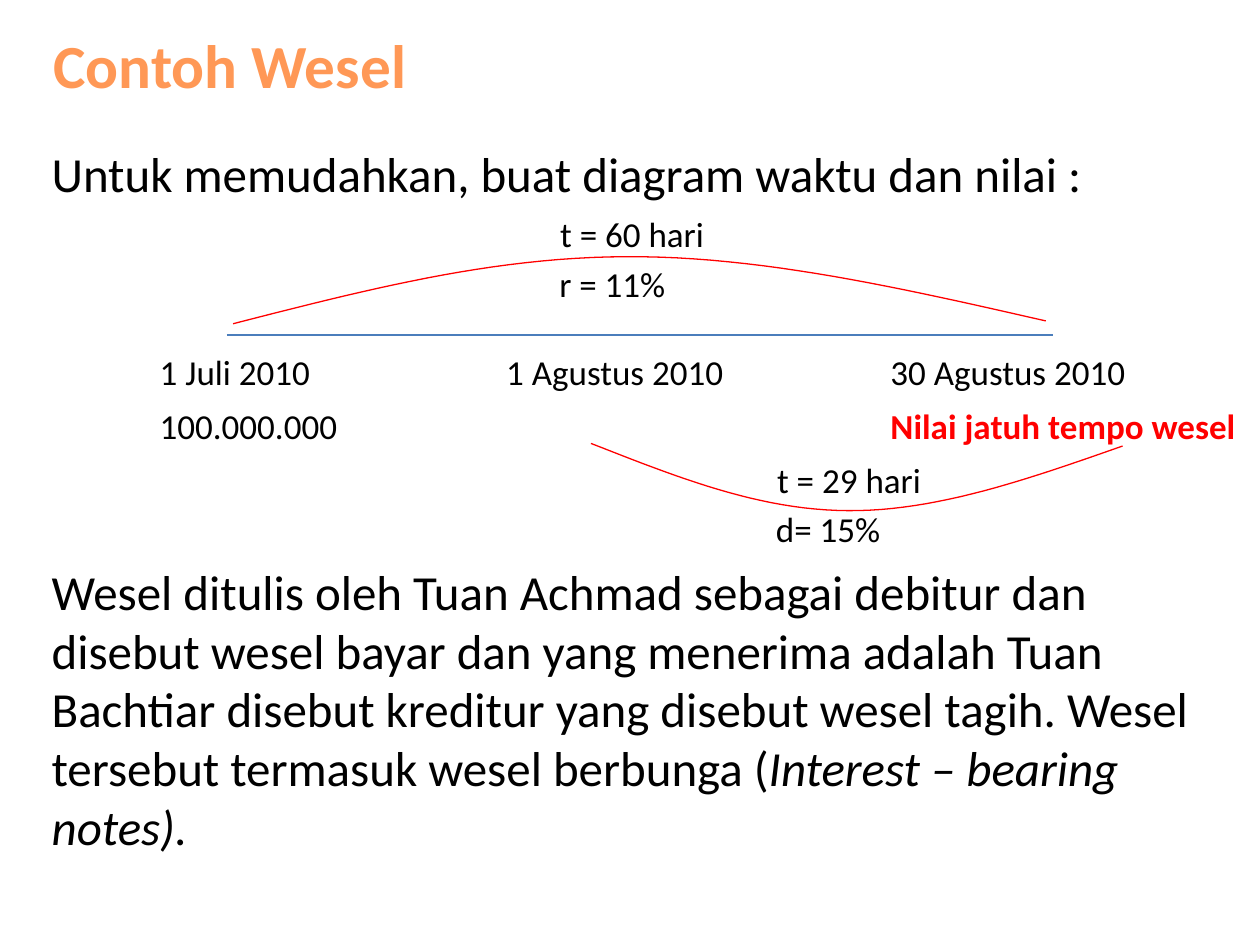
"""Build the slide with the time and value diagram of a promissory note."""
import pptx
import pptx.dml.color
import pptx.enum.shapes
import pptx.enum.text
import pptx.oxml
import pptx.util

Pt = pptx.util.Pt


def paint(target, code):
    color = pptx.dml.color.RGBColor.from_string(code)
    if hasattr(target, "solid"):
        target.solid()
        target.fore_color.rgb = color
    else:
        target.color.rgb = color


def write(para, text, size, code="000000", **extra):
    run = para.add_run()
    run.text = text
    form = {"name": "Calibri", "size": Pt(size), **extra}
    for key, value in form.items():
        setattr(run.font, key, value)
    paint(run.font, code)


deck = pptx.Presentation()
deck.slide_width, deck.slide_height = Pt(720), Pt(540)
slide = deck.slides.add_slide(deck.slide_layouts[1])
title, body = slide.placeholders

frames = [
    (title, (22.3, 12.2, 218.2, 49.7), False),
    (body, (22.3, 78.5, 675.4, 414.7), True),
]
for holder, box, wrap in frames:
    for key, value in zip(("left", "top", "width", "height"), box):
        setattr(holder, key, Pt(value))
    form = {"word_wrap": wrap, "auto_size": pptx.enum.text.MSO_AUTO_SIZE.NONE,
            "vertical_anchor": pptx.enum.text.MSO_ANCHOR.TOP}
    for key, value in form.items():
        setattr(holder.text_frame, key, value)

head = title.text_frame.paragraphs[0]
head.alignment = pptx.enum.text.PP_ALIGN.CENTER
write(head, "Contoh Wesel", 35, "FF9856", bold=True)

intro = body.text_frame.paragraphs[0]
close = body.text_frame.add_paragraph()
for para, gap in ((intro, 0), (close, 205)):
    para.space_before = Pt(gap)
    props = para._p.get_or_add_pPr()
    props.set("marL", "0")
    props.set("indent", "0")
    props.append(pptx.oxml.parse_xml(
        '<a:buNone xmlns:a="http://schemas.openxmlformats.org/drawingml/2006/main"/>'))
write(intro, "Untuk memudahkan, buat diagram waktu dan nilai :", 28)
write(close, "Wesel ditulis oleh Tuan Achmad sebagai debitur dan disebut wesel bayar "
      "dan yang menerima adalah Tuan Bachtiar disebut kreditur yang disebut wesel "
      "tagih. Wesel tersebut termasuk wesel berbunga (", 28)
write(close, "Interest – bearing notes).", 28, italic=True)

axis = slide.shapes.add_connector(
    pptx.enum.shapes.MSO_CONNECTOR.STRAIGHT, Pt(129.6), Pt(191.4), Pt(601.9), Pt(191.4))
axis.line.width = Pt(0.75)
paint(axis.line, "4B7EBC")
axis._element.spPr.append(pptx.oxml.parse_xml(
    '<a:effectLst xmlns:a="http://schemas.openxmlformats.org/drawingml/2006/main"/>'))

arcs = [
    [[(133.2, 185), (206.6, 166.3), (280.1, 146.9), (357.8, 146.7)],
     [(357.8, 146.7), (434.9, 146.2), (516.2, 164.9), (597.6, 183.4)]],
    [[(337.7, 253.4), (385.9, 272.2), (433.4, 291.6), (484.6, 291.8)],
     [(484.6, 291.8), (535, 292.3), (588.2, 273.6), (641.5, 254.9)]],
]
steps = 24
for arc in arcs:
    dots = []
    for curve in arc:
        for step in range(steps + 1):
            t = step / steps
            parts = ((1 - t) ** 3, 3 * t * (1 - t) ** 2, 3 * t * t * (1 - t), t ** 3)
            dots.append(tuple(Pt(sum(p * c for p, c in zip(parts, axes)))
                              for axes in zip(*curve)))
    path = slide.shapes.build_freeform(*dots[0])
    path.add_line_segments(dots[1:], close=False)
    bow = path.convert_to_shape()
    bow.shadow.inherit = False
    bow.fill.background()
    bow.line.width = Pt(0.75)
    paint(bow.line, "FF0000")

dates, sums = 196.6, 227.5
labels = [
    ("1 Juli 2010", 84.2, dates, 101, {}),
    ("1 Agustus 2010", 282.2, dates, 140, {}),
    ("30 Agustus 2010", 501.8, dates, 150, {}),
    ("100.000.000", 84.2, sums, 117, {}),
    ("Nilai jatuh tempo wesel", 501.8, sums, 213, {"code": "FF0000", "bold": True}),
    ("t = 60 hari", 313, 118.1, 98, {}),
    ("r = 11%", 312.5, 146.2, 76, {}),
    ("t = 29 hari", 437, 258.5, 98, {}),
    ("d= 15%", 436.3, 286.6, 75, {}),
]
for text, left, top, width, form in labels:
    label = slide.shapes.add_textbox(Pt(left), Pt(top), Pt(width), Pt(31.5))
    label.text_frame.word_wrap = False
    write(label.text_frame.paragraphs[0], text, 20, **form)

deck.save("out.pptx")
